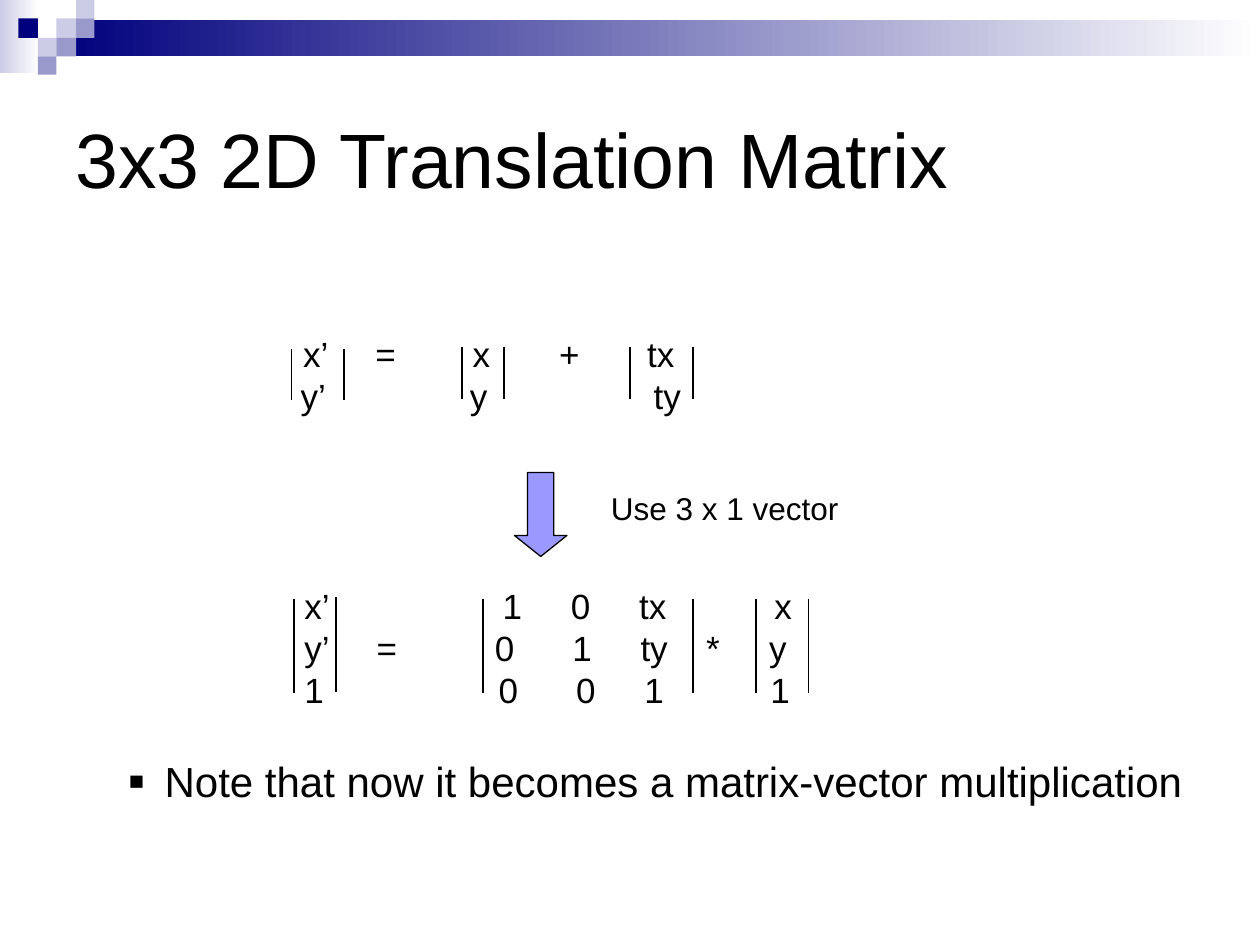
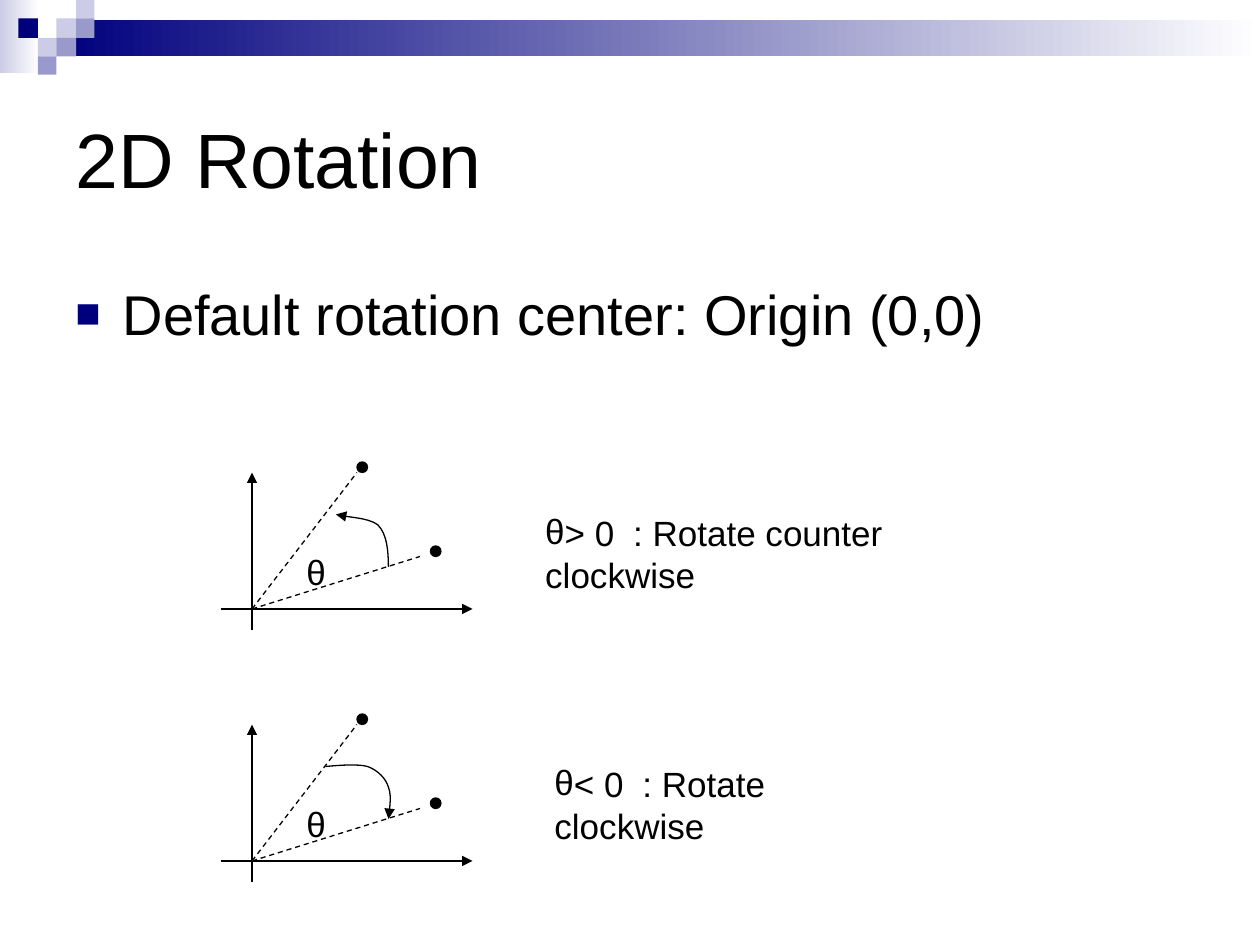
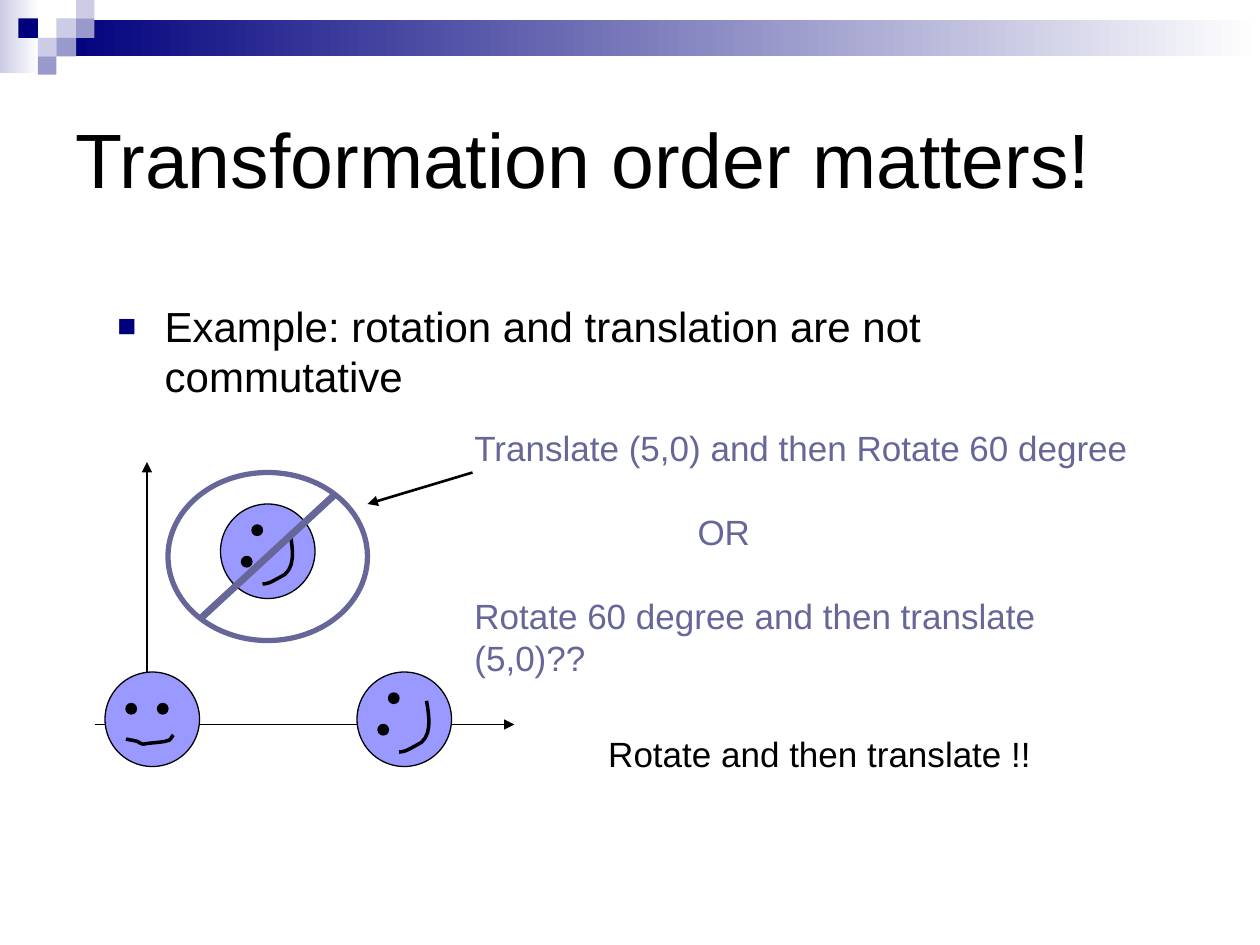
from dataclasses import dataclass
from typing import NamedTuple

from lxml import etree
from pptx import Presentation
from pptx.dml.color import RGBColor
from pptx.enum.dml import MSO_LINE
from pptx.enum.shapes import MSO_CONNECTOR, MSO_SHAPE
from pptx.enum.text import MSO_ANCHOR
from pptx.oxml.ns import qn
from pptx.util import Emu, Pt

RECTANGLE = MSO_SHAPE.RECTANGLE
OVAL = MSO_SHAPE.OVAL
DOWN_ARROW = MSO_SHAPE.DOWN_ARROW
STRAIGHT = MSO_CONNECTOR.STRAIGHT
DASH = MSO_LINE.DASH
TOP = MSO_ANCHOR.TOP
MIDDLE = MSO_ANCHOR.MIDDLE

EMU_PER_PX = 9525
CURVE_STEPS = 8
MATRIX_ROW = 32
MATRIX_CELL = 32


@dataclass(frozen=True)
class Theme:
    font: str = "Arial"
    ink: str = "000000"
    paper: str = "FFFFFF"
    navy: str = "00007D"
    mid: str = "9999CC"
    pale: str = "CCCCE6"
    face: str = "9999FF"
    accent: str = "666699"
    title: int = 44
    heading: int = 32
    body: int = 24
    text: int = 20
    caption: int = 18
    thin: float = 0.75
    arrow: float = 1.5
    mouth: float = 2
    ring: float = 3
    slash: float = 4


THEME = Theme()


class Point(NamedTuple):
    x: int
    y: int

    def shift(self, by: "Point") -> "Point":
        return Point(self.x + by.x, self.y + by.y)


class Frame(NamedTuple):
    left: int
    top: int
    width: int
    height: int

    def shift(self, by: Point) -> "Frame":
        return Frame(self.left + by.x, self.top + by.y, self.width, self.height)


class Bullet(NamedTuple):
    symbol: str
    color: str
    percent: int
    indent: int


class Line(NamedTuple):
    text: str
    tabs: tuple = ()
    size: int = THEME.text
    color: str = THEME.ink
    bullet: Bullet | None = None
    indent: int = 0
    space_before: int = 0


class Bar(NamedTuple):
    x: int
    top: int
    bottom: int


class Stroke(NamedTuple):
    color: str = THEME.ink
    width: float = THEME.thin
    arrow: bool = False
    dash: bool = False


class Face(NamedTuple):
    eyes: tuple
    mouth: tuple


PLAIN = Stroke()
ARROW = Stroke(arrow=True)
DASHED = Stroke(dash=True)
MOUTH = Stroke(width=THEME.mouth)

SQUARE_BULLET = Bullet("■", THEME.navy, 75, 36)
NOTE_BULLET = Bullet("▪", THEME.ink, 117, 28)
THETA_BULLET = Bullet("θ", THEME.ink, 100, 0)

COLUMN_EDGES = (14, 29, 43, 58, 72)
ROW_EDGES = (0, 14, 29, 43, 57)
MOSAIC = (
    (2, 1, THEME.pale),
    (3, 0, THEME.pale),
    (3, 1, THEME.mid),
    (1, 2, THEME.pale),
    (0, 1, THEME.navy),
    (2, 2, THEME.mid),
    (1, 3, THEME.mid),
)

VECTOR_SUM = (
    ((231, "x’"), (286, "="), (360, "x"), (426, "+"), (493, "tx")),
    ((229, "y’"), (358, "y"), (498, "ty")),
)
MATRIX_PRODUCT = (
    ((232, "x’"), (383, "1"), (435, "0"), (487, "tx"), (590, "x")),
    ((232, "y’"), (287, "="), (377, "0"), (436, "1"), (488, "ty"),
     (538, "*"), (586, "y")),
    ((232, "1"), (380, "0"), (439, "0"), (491, "1"), (587, "1")),
)

UPRIGHT_FACE = Face(
    (Point(16, 24), Point(40, 24)),
    ((16, 51), (19, 52), (22, 52), (25, 53), (26, 54), (29, 55), (29, 55),
     (34, 54), (39, 54), (45, 53), (46, 53), (48, 52), (49, 52),
     (50, 51), (52, 48), (52, 48)),
)
TURNED_FACE = Face(
    (Point(16, 40), Point(24, 16)),
    ((53, 22), (55, 34), (58, 51), (45, 56), (41, 58), (37, 61), (32, 61)),
)
COUNTER_CLOCKWISE = ((296, 432), (296, 420), (295, 407), (288, 400),
                     (281, 394), (261, 394), (256, 392))
CLOCKWISE = ((248, 392), (260, 391), (272, 390), (280, 392), (288, 395),
             (294, 401), (296, 408), (299, 415), (296, 428), (296, 432))


def px(value: float) -> Emu:
    return Emu(round(value * EMU_PER_PX))


def rgb(color: str) -> RGBColor:
    return RGBColor.from_string(color)


def apply(target, values: dict) -> None:
    for name, value in values.items():
        setattr(target, name, value)


def add_element(parent, tag: str, **attributes):
    return etree.SubElement(parent, qn(tag), attributes)


def draw_stroke(shape, stroke: Stroke) -> None:
    shape.line.color.rgb = rgb(stroke.color)
    shape.line.width = Pt(stroke.width)
    if stroke.dash:
        shape.line.dash_style = DASH
    if stroke.arrow:
        outline = shape._element.spPr.find(qn("a:ln"))
        add_element(outline, "a:tailEnd", type="triangle")


def add_figure(page, kind, frame: Frame, fill: str | None = None,
               stroke: Stroke | None = None):
    shape = page.shapes.add_shape(kind, *map(px, frame))
    shape.shadow.inherit = False
    if fill:
        shape.fill.solid()
        shape.fill.fore_color.rgb = rgb(fill)
    else:
        shape.fill.background()
    if stroke:
        draw_stroke(shape, stroke)
    else:
        shape.line.fill.background()
    return shape


def add_band(page, frame: Frame, color: str) -> None:
    shape = add_figure(page, RECTANGLE, frame)
    shape.fill.gradient()
    shape.fill.gradient_angle = 0
    for stop, shade in zip(shape.fill.gradient_stops, (color, THEME.paper)):
        stop.color.rgb = rgb(shade)


def add_line(page, start: Point, end: Point, stroke: Stroke = PLAIN) -> None:
    connector = page.shapes.add_connector(STRAIGHT, *map(px, (*start, *end)))
    draw_stroke(connector, stroke)
    add_element(connector._element.spPr, "a:effectLst")


def sample_curve(knots: tuple) -> list:
    points = [knots[0]]
    for first in range(0, len(knots) - 1, 3):
        a, b, c, d = knots[first:first + 4]
        for step in range(1, CURVE_STEPS + 1):
            t = step / CURVE_STEPS
            u = 1 - t
            weights = (u ** 3, 3 * u * u * t, 3 * u * t * t, t ** 3)
            points.append(tuple(
                sum(weight * value for weight, value in zip(weights, axis))
                for axis in zip(a, b, c, d)
            ))
    return points


def add_curve(page, knots: tuple, shift: Point, stroke: Stroke) -> None:
    points = [(px(x + shift.x), px(y + shift.y)) for x, y in sample_curve(knots)]
    builder = page.shapes.build_freeform(*points[0])
    builder.add_line_segments(points[1:], close=False)
    shape = builder.convert_to_shape()
    shape.shadow.inherit = False
    shape.fill.background()
    draw_stroke(shape, stroke)


def format_paragraph(para, line: Line) -> None:
    properties = para._p.get_or_add_pPr()
    bullet = line.bullet
    margin = bullet.indent if bullet else line.indent
    properties.set("marL", str(px(margin)))
    properties.set("indent", str(px(-margin if bullet else 0)))
    if bullet:
        color = add_element(properties, "a:buClr")
        add_element(color, "a:srgbClr", val=bullet.color)
        add_element(properties, "a:buSzPct", val=str(bullet.percent * 1000))
        add_element(properties, "a:buFont", typeface=THEME.font)
        add_element(properties, "a:buChar", char=bullet.symbol)
    if line.tabs:
        stops = add_element(properties, "a:tabLst")
        for stop in line.tabs:
            add_element(stops, "a:tab", pos=str(px(stop)), algn="l")
    if line.space_before:
        para.space_before = Pt(line.space_before)


def add_text(page, frame: Frame, *lines: Line, anchor=TOP, wrap: bool = True):
    box = page.shapes.add_textbox(*map(px, frame))
    apply(box.text_frame, {"word_wrap": wrap, "vertical_anchor": anchor})
    for index, line in enumerate(lines):
        para = box.text_frame.add_paragraph() if index else box.text_frame.paragraphs[0]
        format_paragraph(para, line)
        span = para.add_run()
        span.text = line.text
        apply(span.font, {"name": THEME.font, "size": Pt(line.size)})
        span.font.color.rgb = rgb(line.color)
    return box


def add_page(deck, title: str):
    page = deck.slides.add_slide(deck.slide_layouts[6])
    add_band(page, Frame(0, 0, 30, 56), THEME.pale)
    add_band(page, Frame(44, 15, 916, 28), THEME.navy)
    for column, row, color in MOSAIC:
        left, right = COLUMN_EDGES[column:column + 2]
        top, bottom = ROW_EDGES[row:row + 2]
        add_figure(page, RECTANGLE, Frame(left, top, right - left, bottom - top), color)
    add_text(page, Frame(48, 48, 864, 144), Line(title, size=THEME.title), anchor=MIDDLE)
    return page


def add_bars(page, bars: tuple) -> None:
    for bar in bars:
        add_line(page, Point(bar.x, bar.top), Point(bar.x, bar.bottom))


def add_matrix(page, top: int, rows: tuple) -> None:
    for index, row in enumerate(rows):
        for left, text in row:
            frame = Frame(left, top + index * MATRIX_ROW, MATRIX_CELL, MATRIX_ROW)
            box = add_text(page, frame, Line(text))
            apply(box.text_frame, dict.fromkeys(
                ("margin_left", "margin_top", "margin_right", "margin_bottom"), 0))


def add_dot(page, at: Point) -> None:
    add_figure(page, OVAL, Frame(at.x, at.y, 8, 8), THEME.ink, PLAIN)


def add_angle(page, shift: Point, turn: tuple) -> None:
    origin = Point(192, 464).shift(shift)
    add_line(page, Point(192, 480).shift(shift), Point(192, 360).shift(shift), ARROW)
    add_line(page, Point(168, 464).shift(shift), Point(360, 464).shift(shift), ARROW)
    for ray_end, dot in ((Point(320, 424), Point(328, 416)),
                         (Point(272, 360), Point(272, 352))):
        add_line(page, origin, ray_end.shift(shift), DASHED)
        add_dot(page, dot.shift(shift))
    add_text(page, Frame(224, 415, 33, 41).shift(shift), Line("θ"), wrap=False)
    add_curve(page, turn, shift, ARROW)


def add_face(page, corner: Point, face: Face) -> None:
    add_figure(page, OVAL, Frame(*corner, 72, 72), THEME.face, PLAIN)
    for eye in face.eyes:
        add_dot(page, eye.shift(corner))
    add_curve(page, face.mouth, corner, MOUTH)


def build_translation(deck) -> None:
    page = add_page(deck, "3x3 2D Translation Matrix")
    add_matrix(page, 253, VECTOR_SUM)
    add_bars(page, tuple(Bar(x, 266, 305) for x in (222, 262)))
    add_bars(page, tuple(Bar(x, 264, 304) for x in (352, 384, 480, 528)))
    add_text(page, Frame(456, 368, 200, 38),
             Line("Use 3 x 1 vector", size=THEME.caption), wrap=False)
    add_matrix(page, 445, MATRIX_PRODUCT)
    add_bars(page, tuple(Bar(x, 456, 528) for x in (224, 368, 528, 576, 616)))
    add_bars(page, (Bar(256, 455, 527),))
    arrow = add_figure(page, DOWN_ARROW, Frame(392, 360, 40, 64), THEME.face, PLAIN)
    arrow.adjustments[1] = 0.4
    add_text(page, Frame(88, 571, 839, 48),
             Line("Note that now it becomes a matrix-vector multiplication",
                  size=THEME.body, bullet=NOTE_BULLET))


def build_rotation(deck) -> None:
    page = add_page(deck, "2D Rotation")
    add_text(page, Frame(48, 208, 864, 408),
             Line("Default rotation center: Origin (0,0)",
                  size=THEME.heading, bullet=SQUARE_BULLET))
    add_angle(page, Point(0, 0), COUNTER_CLOCKWISE)
    add_angle(page, Point(0, 192), CLOCKWISE)
    for frame, text in (
        (Frame(406, 385, 380, 73), "> 0\t: Rotate counter clockwise"),
        (Frame(413, 576, 290, 73), "< 0\t: Rotate clockwise"),
    ):
        add_text(page, frame, Line(text, (67,), bullet=THETA_BULLET))


def build_order(deck) -> None:
    page = add_page(deck, "Transformation order matters!")
    add_text(page, Frame(80, 224, 816, 432),
             Line("Example: rotation and translation are not commutative",
                  size=THEME.body, bullet=SQUARE_BULLET))
    add_line(page, Point(72, 552), Point(392, 552), ARROW)
    add_line(page, Point(112, 584), Point(112, 352), ARROW)
    add_face(page, Point(80, 512), UPRIGHT_FACE)
    add_face(page, Point(272, 512), TURNED_FACE)
    add_text(
        page, Frame(352, 320, 530, 170),
        Line("Translate (5,0) and then Rotate 60 degree", color=THEME.accent),
        Line("OR", color=THEME.accent, indent=170, space_before=24),
        Line("Rotate 60 degree and then translate (5,0)??",
             color=THEME.accent, space_before=24),
    )
    add_text(page, Frame(454, 553, 354, 41),
             Line("Rotate and then translate !!"), wrap=False)
    add_face(page, Point(168, 384), TURNED_FACE)
    add_line(page, Point(256, 376), Point(152, 472), Stroke(THEME.accent, THEME.slash))
    add_figure(page, OVAL, Frame(128, 360, 152, 128),
               stroke=Stroke(THEME.accent, THEME.ring))
    add_line(page, Point(360, 360), Point(280, 384),
             Stroke(width=THEME.arrow, arrow=True))


def main() -> None:
    deck = Presentation()
    apply(deck, {"slide_width": px(960), "slide_height": px(720)})
    for build in (build_translation, build_rotation, build_order):
        build(deck)
    deck.save("out.pptx")


if __name__ == "__main__":
    main()
